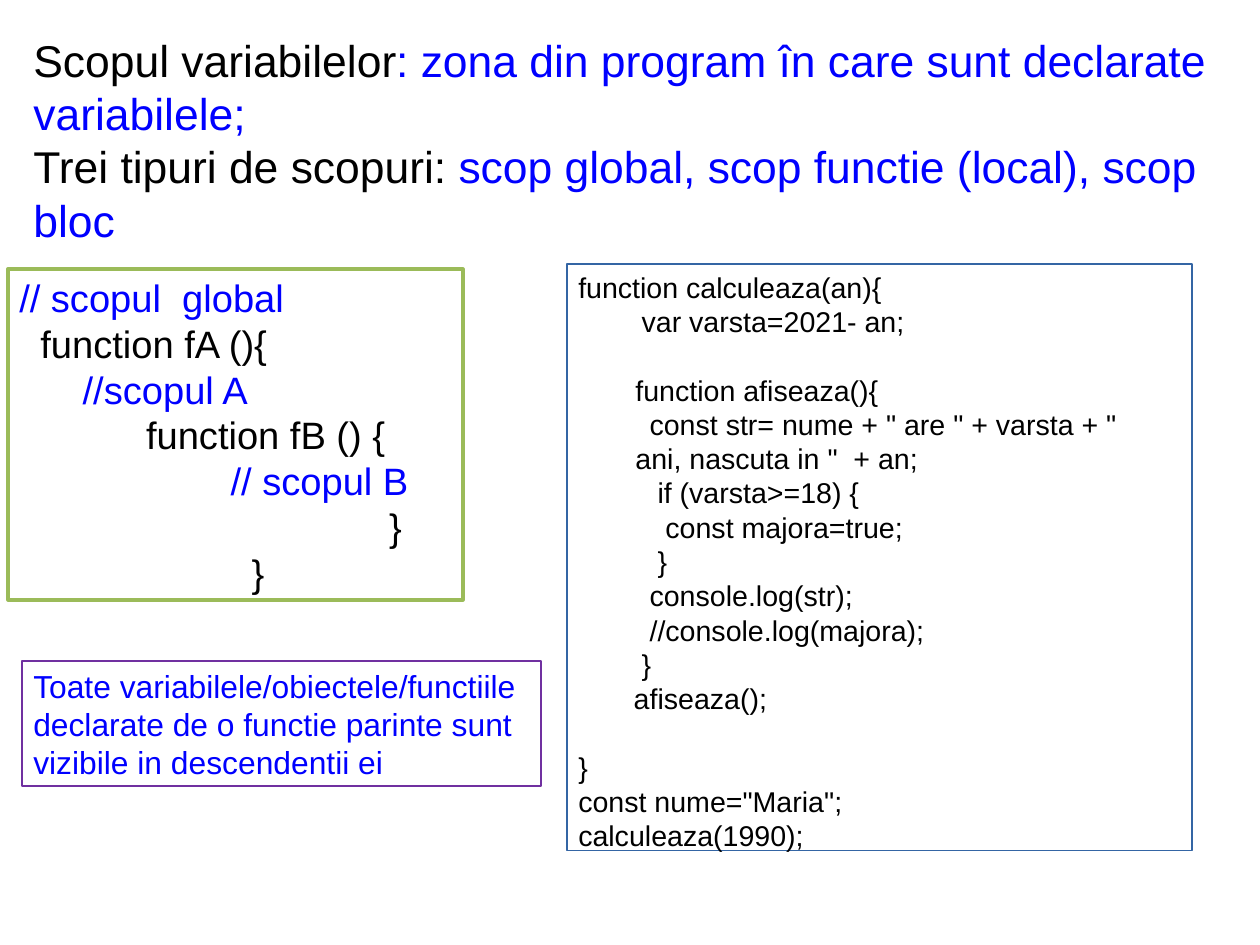
from pptx import Presentation
from pptx.dml.color import RGBColor as RGB
from pptx.enum.shapes import MSO_SHAPE as Shape
from pptx.enum.text import MSO_ANCHOR as Anchor, MSO_AUTO_SIZE as Fit, PP_ALIGN as Align
from pptx.util import Emu, Pt

PX = 8000
HUES = {"black": "000000", "blue": "0000FF", "white": "FFFFFF",
        "green": "9BBB59", "purple": "7030A0", "steel": "3465A4"}

HEAD = [
    [("Scopul variabilelor", "black"),
     (": zona din program în care sunt declarate variabilele;", "blue")],
    [("Trei tipuri de scopuri: ", "black"),
     ("scop global, scop functie (local), scop bloc", "blue")],
]

SCOPES = """// scopul  global
  function fA (){
      //scopul A
            function fB () {
                    // scopul B
                                   }
                      }"""

NOTE = """Toate variabilele/obiectele/functiile
declarate de o functie parinte sunt
vizibile in descendentii ei"""

CODE = """function calculeaza(an){
        var varsta=2021- an;

  \tfunction afiseaza(){
         const str= nume + " are " + varsta + " \t\t\t\tani, nascuta in "  + an;
          if (varsta>=18) {
           const majora=true;
          }
         console.log(str);
         //console.log(majora);
        }
       afiseaza();

}
const nume="Maria";
calculeaza(1990);"""


class Deck:
    """Holds the font, the colours and the current slide."""

    def __init__(self, wide, high, font):
        self.deck = Presentation()
        self.deck.slide_width, self.deck.slide_height = Emu(wide * PX), Emu(high * PX)
        self.font = font
        self.slide = self.deck.slides.add_slide(self.deck.slide_layouts[5])

    def hue(self, name):
        return RGB.from_string(HUES[name])

    def frame(self, shape):
        text = shape.text_frame
        text.word_wrap = True
        text.auto_size = Fit.NONE
        text.vertical_anchor = Anchor.TOP
        return text

    def style(self, run, size, hue):
        run.font.name = self.font
        run.font.size = Pt(size)
        run.font.color.rgb = self.hue(hue)

    def title(self, left, top, wide, high, rows, size):
        head = self.slide.shapes.title
        head.left, head.top = Emu(left * PX), Emu(top * PX)
        head.width, head.height = Emu(wide * PX), Emu(high * PX)
        text = self.frame(head)
        for i, row in enumerate(rows):
            para = text.add_paragraph() if i else text.paragraphs[0]
            para.alignment = Align.LEFT
            for words, hue in row:
                run = para.add_run()
                run.text = words
                self.style(run, size, hue)

    def box(self, left, top, wide, high, words, size, hue, edge, line=0, fill=None, note=None):
        rect = self.slide.shapes.add_shape(
            Shape.RECTANGLE, *(Emu(n * PX) for n in (left, top, wide, high)))
        rect.shadow.inherit = False
        if fill:
            rect.fill.solid()
            rect.fill.fore_color.rgb = self.hue(fill)
        else:
            rect.fill.background()
        rect.line.color.rgb = self.hue(edge)
        rect.line.width = Pt(line)
        text = self.frame(rect)
        text.text = words
        for para in text.paragraphs:
            para.alignment = Align.LEFT
            for run in para.runs:
                remark = note and run.text.lstrip().startswith("//")
                self.style(run, size, note if remark else hue)

    def save(self):
        self.deck.save("out.pptx")


def main():
    deck = Deck(1260, 945, "Arial")
    deck.title(22, 27, 1215, 209, HEAD, 28)
    deck.box(8, 269, 455, 331, SCOPES, 24, "black", "green", 2, "white", "blue")
    deck.box(22, 661, 519, 125, NOTE, 20, "blue", "purple")
    deck.box(567, 264, 625, 587, CODE, 18, "black", "steel")
    deck.save()


if __name__ == "__main__":
    main()
